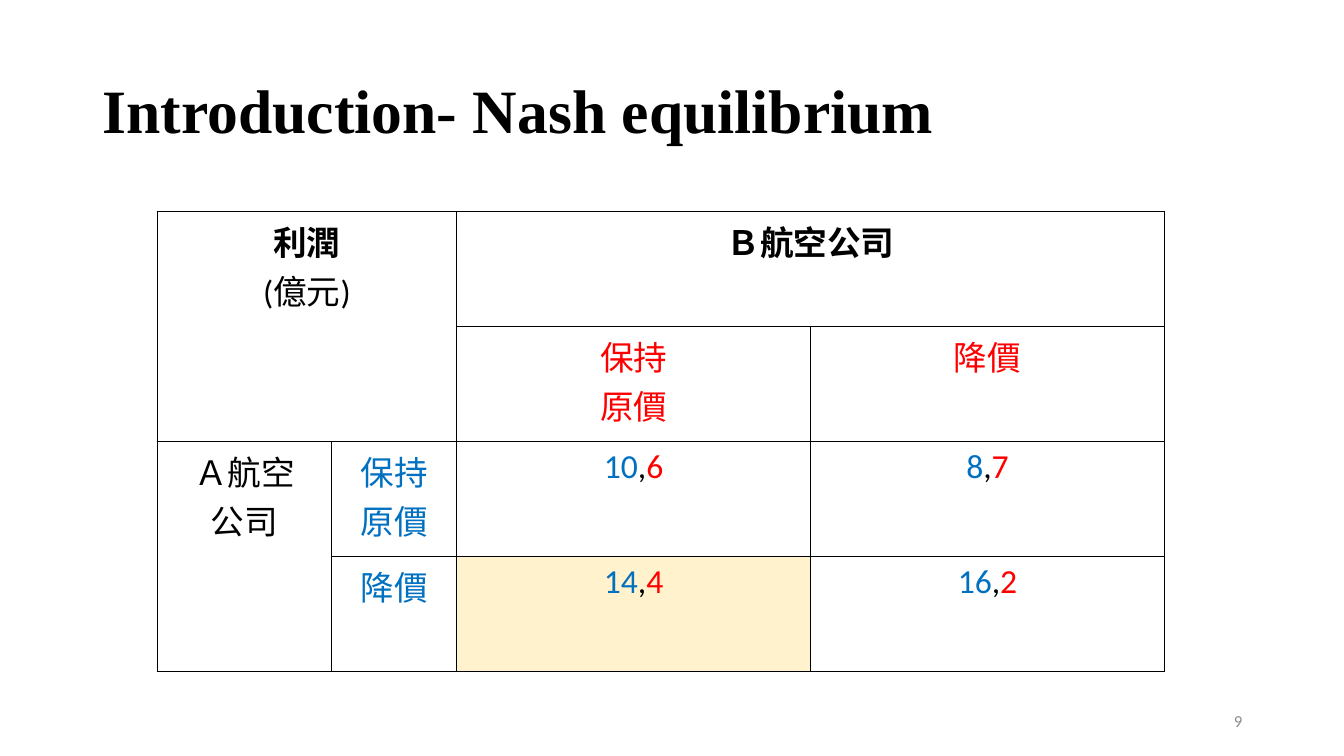
from dataclasses import dataclass

from lxml.etree import SubElement
from pptx import Presentation
from pptx.dml.color import RGBColor
from pptx.enum.text import MSO_ANCHOR, PP_ALIGN
from pptx.oxml.ns import qn
from pptx.util import Pt

EMU_PER_PX = 9144  # 100 px to the inch


@dataclass(frozen=True)
class Theme:
    title_font: str = "Times New Roman"
    body_font: str = "Calibri"
    title_size: int = 44
    table_size: int = 24
    number_size: int = 12
    black: str = "000000"
    gray: str = "8C8C8C"
    player_a: str = "0070C0"
    player_b: str = "FF0000"
    highlight: str = "FFF2CC"
    border_width: int = 1


THEME = Theme()


def px(length):
    return length * EMU_PER_PX


def add_run(paragraph, text, size, color, bold=False, name=THEME.body_font):
    run = paragraph.add_run()
    run.text = text
    for attribute, value in {"name": name, "size": Pt(size), "bold": bold}.items():
        setattr(run.font, attribute, value)
    run.font.color.rgb = RGBColor.from_string(color)


def add_text(slide, box, text, alignment, line_spacing=1.0, **font):
    frame = slide.shapes.add_textbox(*map(px, box)).text_frame
    frame.word_wrap = True
    frame.vertical_anchor = MSO_ANCHOR.MIDDLE
    paragraph = frame.paragraphs[0]
    paragraph.alignment = alignment
    paragraph.line_spacing = line_spacing
    add_run(paragraph, text, **font)


def add_title(slide, box, text):
    add_text(slide, box, text, PP_ALIGN.LEFT, 0.9, size=THEME.title_size,
             color=THEME.black, bold=True, name=THEME.title_font)


def add_slide_number(slide, box, number):
    add_text(slide, box, number, PP_ALIGN.RIGHT,
             size=THEME.number_size, color=THEME.gray)


def style_cell(cell, fill=None):
    properties = cell._tc.get_or_add_tcPr()
    for side in ("lnL", "lnR", "lnT", "lnB"):
        line = SubElement(properties, qn(f"a:{side}"), w=str(Pt(THEME.border_width)))
        SubElement(SubElement(line, qn("a:solidFill")), qn("a:srgbClr"), val=THEME.black)
    if fill:
        cell.fill.solid()
        cell.fill.fore_color.rgb = RGBColor.from_string(fill)
    else:
        cell.fill.background()


def write_cell(cell, lines):
    """Each line is a list of (text, color, bold) runs."""
    frame = cell.text_frame
    for index, runs in enumerate(lines):
        paragraph = frame.add_paragraph() if index else frame.paragraphs[0]
        paragraph.alignment = PP_ALIGN.CENTER
        for text, color, bold in runs:
            add_run(paragraph, text, THEME.table_size, color, bold)


def add_payoff_table(slide, box, column_widths, payoffs, equilibrium):
    table = slide.shapes.add_table(4, 4, *map(px, box)).table
    table.first_row = table.horz_banding = False
    for column, width in zip(table.columns, column_widths):
        column.width = px(width)
    for row in table.rows:
        row.height = px(box[3] // 4)

    # Borders and the equilibrium cell
    for row in range(4):
        for column in range(4):
            fill = THEME.highlight if (row, column) == equilibrium else None
            style_cell(table.cell(row, column), fill)

    # Merged headings: corner, player B, player A
    for start, end in (((0, 0), (1, 1)), ((0, 2), (0, 3)), ((2, 0), (3, 0))):
        table.cell(*start).merge(table.cell(*end))
    black = THEME.black
    write_cell(table.cell(0, 0), [[("利潤", black, True)], [("(億元)", black, False)]])
    write_cell(table.cell(0, 2), [[("Ｂ航空公司", black, True)]])
    write_cell(table.cell(2, 0), [[("Ａ航空", black, False)], [("公司", black, False)]])

    # Strategies of both players
    for index, strategy in enumerate((("保持", "原價"), ("降價",)), start=2):
        for position, color in (((1, index), THEME.player_b),
                                ((index, 1), THEME.player_a)):
            write_cell(table.cell(*position),
                       [[(text, color, False)] for text in strategy])

    # Payoffs of A and B
    for row, pairs in enumerate(payoffs, start=2):
        for column, (profit_a, profit_b) in enumerate(pairs, start=2):
            write_cell(table.cell(row, column), [[
                (str(profit_a), THEME.player_a, False),
                (",", black, False),
                (str(profit_b), THEME.player_b, False),
            ]])


def main():
    presentation = Presentation()
    presentation.slide_width = px(1333)
    presentation.slide_height = px(750)
    slide = presentation.slides.add_slide(presentation.slide_layouts[6])

    add_title(slide, (92, 40, 1150, 145), "Introduction- Nash equilibrium")
    add_payoff_table(slide, (156, 210, 999, 456), (173, 124, 351, 351),
                     payoffs=(((10, 6), (8, 7)), ((14, 4), (16, 2))),
                     equilibrium=(3, 2))
    add_slide_number(slide, (942, 695, 300, 40), "9")
    presentation.save("out.pptx")


if __name__ == "__main__":
    main()
